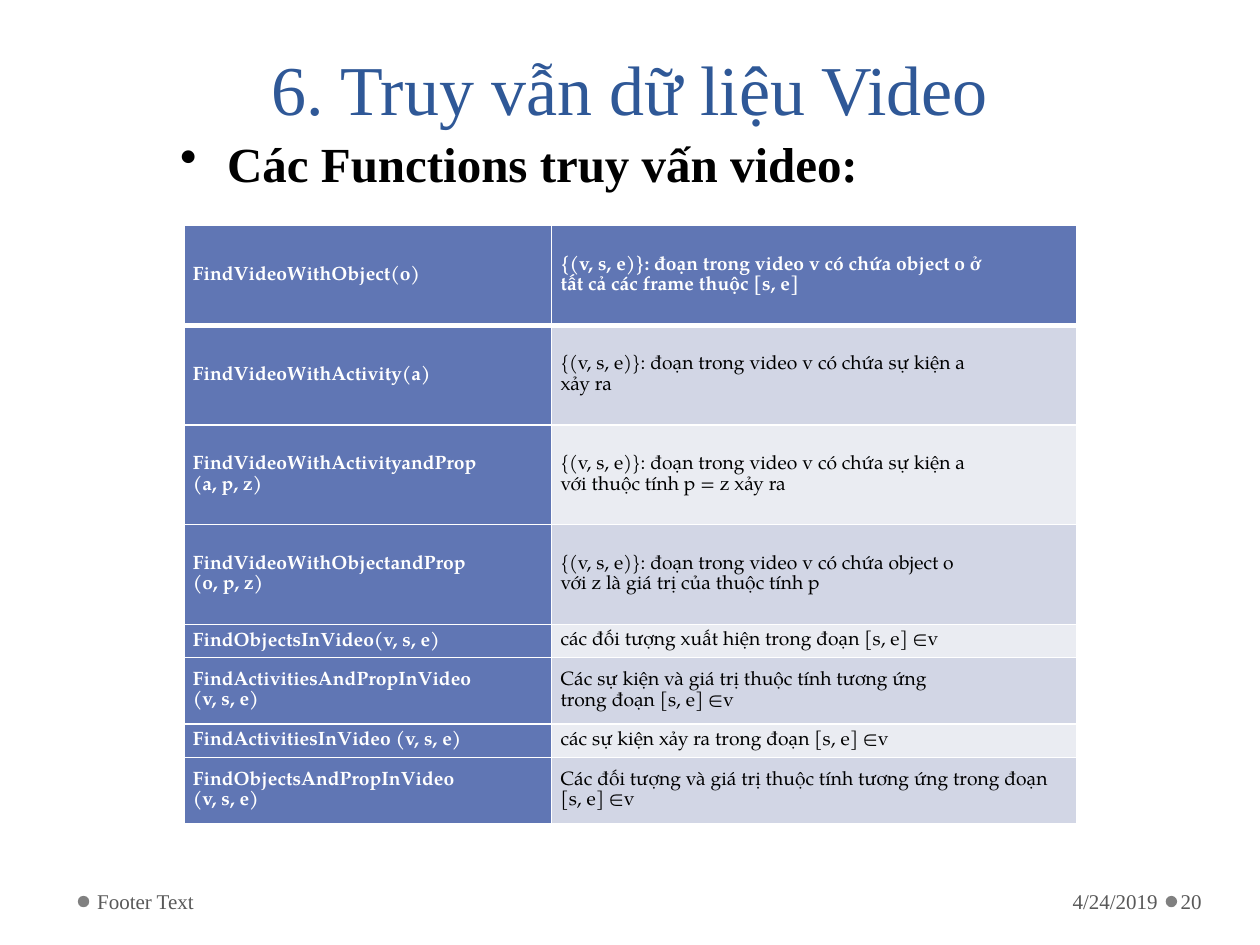
from copy import deepcopy

from lxml import etree
from pptx import Presentation
from pptx import util as u
from pptx.dml.color import RGBColor
from pptx.enum import shapes, text
from pptx.oxml import ns

Cm, Pt = u.Cm, u.Pt

TITLE_BLUE = RGBColor(0x2F, 0x58, 0x97)
BLACK = RGBColor(0, 0, 0)
WHITE = RGBColor(0xFF, 0xFF, 0xFF)
FOOTER_GREY = RGBColor(0x59, 0x59, 0x59)
DOT_GREY = RGBColor(0x80, 0x80, 0x80)
HEADER_BLUE = RGBColor(0x60, 0x76, 0xB4)
BAND_DARK = RGBColor(0xD2, 0xD6, 0xE5)
BAND_LIGHT = RGBColor(0xEA, 0xEC, 0xF2)

SERIF = "Times New Roman"
TABLE_FONT = "TeX Gyre Pagella"

# Function, result, row height in cm
FUNCTIONS = [
    ("FindVideoWithObject(o)",
     "{(v, s, e)}: đoạn trong video v có chứa object o ở\ntất cả các frame thuộc [s, e]", 2.01),
    ("FindVideoWithActivity(a)",
     "{(v, s, e)}: đoạn trong video v có chứa sự kiện a\nxảy ra", 2.01),
    ("FindVideoWithActivityandProp\n(a, p, z)",
     "{(v, s, e)}: đoạn trong video v có chứa sự kiện a\nvới thuộc tính p = z xảy ra", 2.01),
    ("FindVideoWithObjectandProp\n(o, p, z)",
     "{(v, s, e)}: đoạn trong video v có chứa object o\nvới z là giá trị của thuộc tính p", 2.01),
    ("FindObjectsInVideo(v, s, e)",
     "các đối tượng xuất hiện trong đoạn [s, e] ∈v", 0.67),
    ("FindActivitiesAndPropInVideo\n(v, s, e)",
     "Các sự kiện và giá trị thuộc tính tương ứng\ntrong đoạn [s, e] ∈v", 1.34),
    ("FindActivitiesInVideo (v, s, e)",
     "các sự kiện xảy ra trong đoạn [s, e] ∈v", 0.67),
    ("FindObjectsAndPropInVideo\n(v, s, e)",
     "Các đối tượng và giá trị thuộc tính tương ứng trong đoạn [s, e] ∈v", 1.34),
]


def write(frame, words, *, size, color, font=SERIF, bold=False,
          align=text.PP_ALIGN.LEFT, spacing=None, before=None, after=None):
    """Fill a text frame with one formatted paragraph and return it."""
    paragraph = frame.paragraphs[0]
    paragraph.text = words
    paragraph.alignment = align
    paragraph.line_spacing = spacing
    paragraph.space_before = before
    paragraph.space_after = after
    for run in paragraph.runs:
        run.font.name = font
        run.font.size = Pt(size)
        run.font.bold = bold
        run.font.color.rgb = color
    # Line breaks take the format of the words around them
    for line_break in paragraph._p.findall(ns.qn("a:br")):
        line_break.append(deepcopy(paragraph.runs[0]._r.rPr))
    return paragraph


def add_text(slide, words, left, top, width, height, *,
             anchor=text.MSO_ANCHOR.TOP, margins=(0.25, 0.25), **style):
    frame = slide.shapes.add_textbox(Cm(left), Cm(top), Cm(width), Cm(height)).text_frame
    frame.word_wrap = True
    frame.vertical_anchor = anchor
    frame.margin_left, frame.margin_right = map(Cm, margins)
    return write(frame, words, **style)


def add_bullet(paragraph, indent):
    properties = paragraph._p.get_or_add_pPr()
    properties.set("marL", str(indent))
    properties.set("indent", str(-indent))
    etree.SubElement(properties, ns.qn("a:buChar"), char="•")


def add_dot(slide, left):
    dot = slide.shapes.add_shape(shapes.MSO_SHAPE.OVAL, Cm(left), Cm(18.06), Cm(0.23), Cm(0.23))
    dot.shadow.inherit = False
    dot.fill.solid()
    dot.fill.fore_color.rgb = DOT_GREY
    dot.line.fill.background()


def set_borders(cell, **points):
    """Draw white cell borders; points gives a width per side L, R, T, B."""
    properties = cell._tc.get_or_add_tcPr()
    for side in "LRTB":
        line = etree.SubElement(properties, ns.qn(f"a:ln{side}"), w=str(Pt(points.get(side, 1))))
        fill = etree.SubElement(line, ns.qn("a:solidFill"))
        etree.SubElement(fill, ns.qn("a:srgbClr"), val=str(WHITE))


def fill_cell(cell, words, background, **style):
    cell.fill.solid()
    cell.fill.fore_color.rgb = background
    cell.vertical_anchor = text.MSO_ANCHOR.MIDDLE
    cell.margin_left = cell.margin_right = Cm(0.18)
    cell.margin_top = cell.margin_bottom = 0
    write(cell.text_frame, words, size=11, font=TABLE_FONT,
          spacing=1.07, after=Pt(8), **style)


def add_function_table(slide):
    height = sum(row[2] for row in FUNCTIONS)
    table = slide.shapes.add_table(len(FUNCTIONS), 2, Cm(3.71), Cm(4.55),
                                   Cm(18), Cm(height)).table
    for column, width in zip(table.columns, (7.41, 10.59)):
        column.width = Cm(width)
    for i, (function, result, row_height) in enumerate(FUNCTIONS):
        table.rows[i].height = Cm(row_height)
        for j, words in enumerate((function, result)):
            cell = table.cell(i, j)
            # A thicker line separates the first row from the rest
            set_borders(cell, **{0: {"B": 3}, 1: {"T": 3}}.get(i, {}))
            if i == 0 or j == 0:
                fill_cell(cell, words, HEADER_BLUE, color=WHITE, bold=True)
            else:
                fill_cell(cell, words, BAND_DARK if i % 2 else BAND_LIGHT, color=BLACK)


def add_footer(slide):
    for left in (23.5, 1.57):
        add_dot(slide, left)
    style = dict(anchor=text.MSO_ANCHOR.MIDDLE, size=12, color=FOOTER_GREY)
    top, height = 17.65, 1.02
    add_text(slide, "4/24/2019", 17.68, top, 5.79, height,
             margins=(0.25, 0.13), align=text.PP_ALIGN.RIGHT, **style)
    add_text(slide, "Footer Text", 1.83, top, 7.9, height, margins=(0.13, 0.25), **style)
    add_text(slide, "20", 23.72, top, 1.55, height, margins=(0.08, 0.13), **style)


def main():
    deck = Presentation()
    deck.slide_width, deck.slide_height = Cm(25.4), Cm(19.05)
    slide = deck.slides.add_slide(deck.slide_layouts[6])

    # Title and lead line
    add_text(slide, "6. Truy vẫn dữ liệu Video", 1.27, 0, 22.86, 2.74,
             anchor=text.MSO_ANCHOR.BOTTOM, size=40, color=TITLE_BLUE,
             align=text.PP_ALIGN.CENTER, spacing=Pt(58))
    lead = add_text(slide, "Các Functions truy vấn video:", 3.38, 2.57, 22.86, 13.84,
                    size=28, color=BLACK, bold=True, before=Pt(5.6))
    add_bullet(lead, Cm(0.95))

    # Query functions and footer
    add_function_table(slide)
    add_footer(slide)

    deck.save("out.pptx")


if __name__ == "__main__":
    main()
